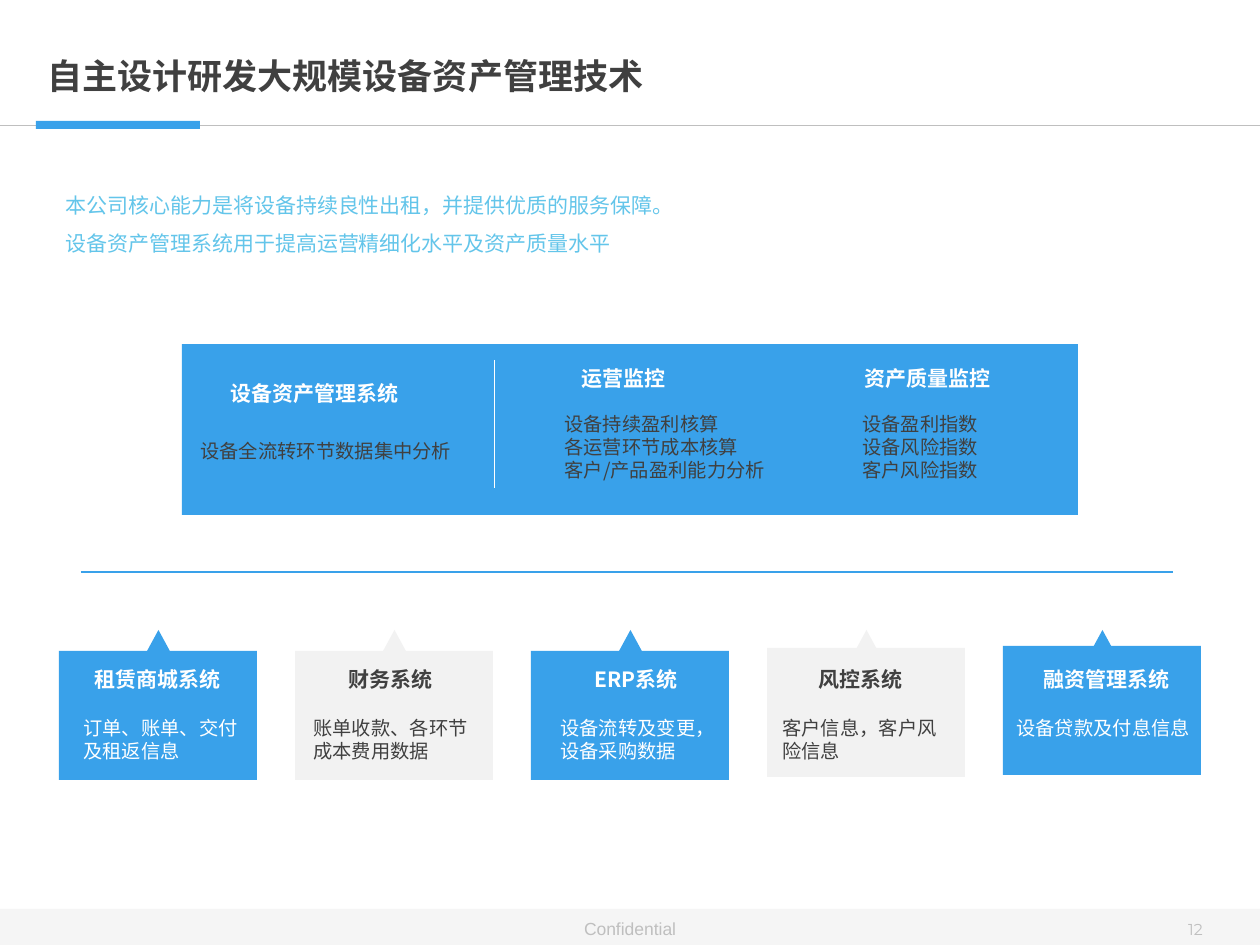
import pptx
import pptx.dml.color
import pptx.enum.shapes
import pptx.enum.text
import pptx.oxml.ns
import pptx.util
from lxml import etree

SCALE = 914400 / 126  # EMU per px
THEME = {
    "font": "Noto Sans CJK SC", "footer_font": "Arial", "number_font": "Montserrat",
    "blue": "39A1EA", "sky": "63C5EA", "dark": "404040", "white": "FFFFFF",
    "pale": "F2F2F2", "footer": "F5F5F5", "grey": "BFBFBF",
    "title": 20, "heading": 12, "body": 11, "footer_size": 10, "number_size": 9,
}
SHAPE = pptx.enum.shapes.MSO_SHAPE
ALIGN = pptx.enum.text.PP_ALIGN
ANCHOR = pptx.enum.text.MSO_ANCHOR
qn = pptx.oxml.ns.qn


def color(name):
    return pptx.dml.color.RGBColor.from_string(THEME[name])


def add_text(box, lines, size, ink, bold=False, font="font", indent=0, align=ALIGN.LEFT,
             anchor=ANCHOR.TOP, spacing=None, wrap=True):
    left, top, width, height = (round(value * SCALE) for value in box)
    frame = slide.shapes.add_textbox(left, top, width, height).text_frame
    frame.word_wrap = wrap
    frame.vertical_anchor = anchor
    for index, line in enumerate(lines):
        paragraph = frame.paragraphs[0] if index == 0 else frame.add_paragraph()
        paragraph.alignment = align
        if spacing:
            paragraph.line_spacing = spacing
        if indent:
            paragraph.level = 1
            properties = paragraph._p.get_or_add_pPr()
            properties.set("marL", str(round(indent * SCALE)))
            properties.set("indent", "0")
        run = paragraph.add_run()
        run.text = line
        run.font.size = pptx.util.Pt(THEME[size])
        run.font.bold = bold
        run.font.color.rgb = color(ink)
        run.font.name = THEME[font]
        east_asian = etree.SubElement(run._r.get_or_add_rPr(), qn("a:ea"))
        east_asian.set("typeface", THEME[font])


def add_part(shapes, kind, box, ink, weight=None):
    """Add a filled shape, or a line from (x1, y1) to (x2, y2) when kind is None."""
    place = [round(value * SCALE) for value in box]
    if kind is None:
        line = shapes.add_connector(pptx.enum.shapes.MSO_CONNECTOR.STRAIGHT, *place)
        line.line.color.rgb = color(ink)
        line.line.width = pptx.util.Pt(weight)
        etree.SubElement(line._element.spPr, qn("a:effectLst"))
        return
    shape = shapes.add_shape(kind, *place)
    shape.shadow.inherit = False
    shape.fill.solid()
    shape.fill.fore_color.rgb = color(ink)
    shape.line.fill.background()


presentation = pptx.Presentation()
presentation.slide_width = round(1260 * SCALE)
presentation.slide_height = round(945 * SCALE)
slide = presentation.slides.add_slide(presentation.slide_layouts[6])

# Footer
add_part(slide.shapes, None, (0, 929, 1260, 929), "pale", 1)
add_part(slide.shapes, SHAPE.RECTANGLE, (0, 909, 1260, 36), "footer")
add_text((571, 909, 118, 36), ["Confidential"], "footer_size", "grey", font="footer_font",
         align=ALIGN.CENTER, anchor=ANCHOR.BOTTOM, wrap=False)
add_text((1166, 909, 59, 36), ["12"], "number_size", "grey", font="number_font",
         align=ALIGN.CENTER, anchor=ANCHOR.BOTTOM)

# Title with its rule
add_part(slide.shapes, None, (0, 125, 1260, 125), "grey", 0.5)
add_part(slide.shapes, SHAPE.RECTANGLE, (36, 121, 164, 8), "blue")
add_text((35, 44, 1086, 69), ["自主设计研发大规模设备资产管理技术"], "title", "dark", bold=True,
         anchor=ANCHOR.MIDDLE, spacing=0.9)

# Introduction
add_text((53, 174, 643, 89),
         ["本公司核心能力是将设备持续良性出租，并提供优质的服务保障。"
          "设备资产管理系统用于提高运营精细化水平及资产质量水平"],
         "heading", "sky", spacing=1.5)

# Central panel: heading box, heading, body box, body lines
add_part(slide.shapes, SHAPE.RECTANGLE, (182, 344, 896, 171), "blue")
add_part(slide.shapes, None, (494, 360, 494, 488), "white", 0.5)
panel = [
    ((194, 374, 277, 38), "设备资产管理系统", (164, 433, 336, 37), ["设备全流转环节数据集中分析"]),
    ((545, 359, 179, 38), "运营监控", (528, 406, 271, 106),
     ["设备持续盈利核算", "各运营环节成本核算", "客户/产品盈利能力分析"]),
    ((828, 359, 179, 38), "资产质量监控", (826, 406, 212, 83),
     ["设备盈利指数", "设备风险指数", "客户风险指数"]),
]
for heading_box, heading, body_box, lines in panel:
    add_text(heading_box, [heading], "heading", "white", bold=True, indent=24)
    add_text(body_box, lines, "body", "dark", indent=24)

# Divider
add_part(slide.shapes, None, (81, 572, 1173, 572), "blue", 1)

# System cards: top, heading left and width, heading, body left and width, body
cards = [
    (651, 58, 182, "租赁商城系统", 47, 214, "订单、账单、交付及租返信息"),
    (651, 312, 174, "财务系统", 277, 214, "账单收款、各环节成本费用数据"),
    (651, 533, 182, "ERP系统", 524, 206, "设备流转及变更，设备采购数据"),
    (648, 782, 174, "风控系统", 746, 214, "客户信息，客户风险信息"),
    (646, 1007, 182, "融资管理系统", 980, 226, "设备贷款及付息信息"),
]
for index, (top, heading_left, heading_width, heading, body_left, body_width, body) in enumerate(cards):
    left = 59 + 236 * index
    fill, ink = ("pale", "dark") if index % 2 else ("blue", "white")
    group = slide.shapes.add_group_shape()
    add_part(group.shapes, SHAPE.RECTANGLE, (left, top, 198, 129), fill)
    add_part(group.shapes, SHAPE.ISOSCELES_TRIANGLE, (left + 87, 630, 25, 23), fill)
    add_text((heading_left, 660, heading_width, 38), [heading], "heading", ink, bold=True, indent=24,
             align=ALIGN.CENTER if heading == "ERP系统" else ALIGN.LEFT)
    add_text((body_left, 710, body_width, 59), [body], "body", ink, indent=24)

presentation.save("out.pptx")
